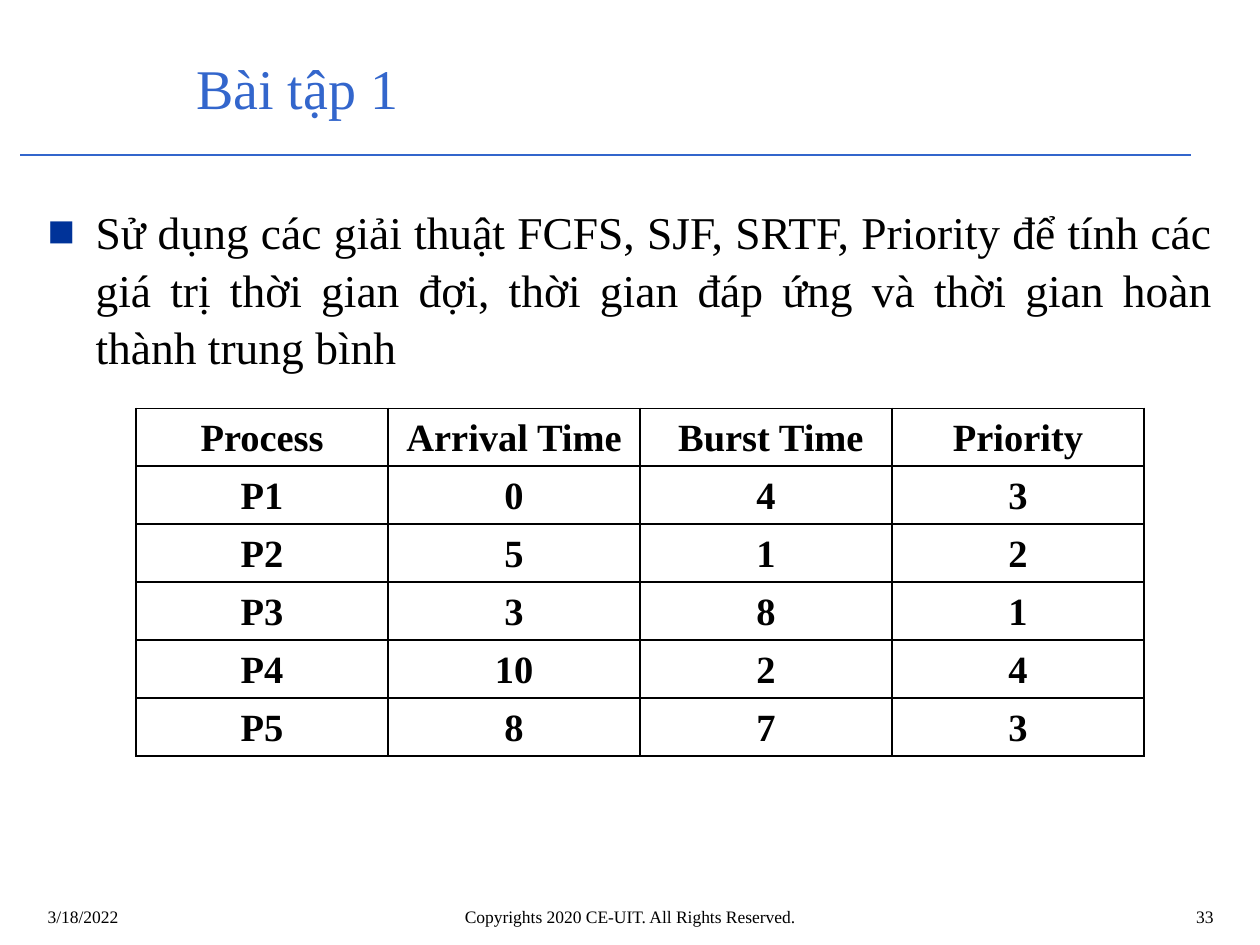
import pptx
import pptx.util
import pptx.dml.color
import pptx.enum.shapes
import pptx.enum.text
import pptx.oxml
import pptx.oxml.ns
from lxml import etree

Inches, Pt = pptx.util.Inches, pptx.util.Pt
ALIGN = pptx.enum.text.PP_ALIGN
ANCHOR = pptx.enum.text.MSO_ANCHOR

TITLE = "Bài tập 1"
TASK = ("Sử dụng các giải thuật FCFS, SJF, SRTF, Priority để tính các giá trị "
        "thời gian đợi, thời gian đáp ứng và thời gian hoàn thành trung bình")
ROWS = [
    ("Process", "Arrival Time", " Burst Time", "Priority"),
    ("P1", "0", "4", "3"),
    ("P2", "5", "1", "2"),
    ("P3", "3", "8", "1"),
    ("P4", "10", "2", "4"),
    ("P5", "8", "7", "3"),
]
FOOT = [
    ("3/18/2022", (0.28, 7.14, 2.33, 0.32), ALIGN.LEFT),
    ("33", (7.81, 7.14, 1.92, 0.32), ALIGN.RIGHT),
    ("Copyrights 2020 CE-UIT. All Rights Reserved.", (1.93, 7.14, 6.14, 0.32), ALIGN.CENTER),
]
THEME = {
    "font": "Times New Roman", "ink": "000000", "blue": "3366CC",
    "mark": "003399", "paper": "FFFFFF",
    "title": 32, "body": 26, "cell": 22, "foot": 10,
}


def rgb(name):
    """Return a theme colour."""
    return pptx.dml.color.RGBColor.from_string(THEME[name])


def write(frame, text, size="body", color="ink", bold=False, align=ALIGN.LEFT,
          anchor=ANCHOR.TOP, lead=None, before=None):
    """Put one formatted paragraph in a text frame and return it."""
    frame.word_wrap = True
    frame.vertical_anchor = anchor
    para = frame.paragraphs[0]
    para.alignment = align
    if lead:
        para.line_spacing = lead
    if before:
        para.space_before = Pt(before)
    run = para.add_run()
    run.text = text
    font = run.font
    font.name, font.size, font.bold = THEME["font"], Pt(THEME[size]), bold
    font.color.rgb = rgb(color)
    return para


def box(slide, place):
    """Add a text box and return its frame."""
    return slide.shapes.add_textbox(*map(Inches, place)).text_frame


def bullet(para, indent):
    """Give a paragraph a square bullet with a hanging indent."""
    props = para._p.get_or_add_pPr()
    props.set("marL", str(Inches(indent)))
    props.set("indent", str(-Inches(indent)))
    tint = etree.SubElement(props, pptx.oxml.ns.qn("a:buClr"))
    etree.SubElement(tint, pptx.oxml.ns.qn("a:srgbClr"), val=THEME["mark"])
    etree.SubElement(props, pptx.oxml.ns.qn("a:buFont"), typeface=THEME["font"])
    etree.SubElement(props, pptx.oxml.ns.qn("a:buChar"), char="■")


def border(cell):
    """Draw a thin line on all sides of a cell."""
    props = cell._tc.get_or_add_tcPr()
    for spot, side in enumerate(("lnL", "lnR", "lnT", "lnB")):
        line = etree.Element(pptx.oxml.ns.qn("a:" + side), w=str(Pt(1)))
        fill = etree.SubElement(line, pptx.oxml.ns.qn("a:solidFill"))
        etree.SubElement(fill, pptx.oxml.ns.qn("a:srgbClr"), val=THEME["ink"])
        props.insert(spot, line)


def grid(slide, left, top, wide, high):
    """Add the process table."""
    count = len(ROWS[0])
    shape = slide.shapes.add_table(len(ROWS), count, Inches(left), Inches(top),
                                   Inches(wide * count), Inches(high * len(ROWS)))
    table = shape.table
    for row, items in zip(table.rows, ROWS):
        row.height = Inches(high)
        for cell, text in zip(row.cells, items):
            cell.margin_top = cell.margin_bottom = 0
            cell.fill.solid()
            cell.fill.fore_color.rgb = rgb("paper")
            border(cell)
            write(cell.text_frame, text, size="cell", bold=True,
                  align=ALIGN.CENTER, lead=1.07)
            cell.vertical_anchor = ANCHOR.MIDDLE


def main():
    """Build the slide and save it."""
    deck = pptx.Presentation()
    deck.slide_width, deck.slide_height = Inches(10), Inches(7.5)
    slide = deck.slides.add_slide(deck.slide_layouts[6])
    rule = slide.shapes.add_connector(pptx.enum.shapes.MSO_CONNECTOR.STRAIGHT,
                                      *map(Inches, (0.16, 1.23, 9.45, 1.23)))
    rule.line.color.rgb, rule.line.width = rgb("blue"), Pt(0.75)
    etree.SubElement(rule._element.spPr, pptx.oxml.ns.qn("a:effectLst"))
    write(box(slide, (1.46, 0.31, 8.04, 0.76)), TITLE, size="title", color="blue",
          anchor=ANCHOR.MIDDLE)
    task = write(box(slide, (0.28, 1.55, 9.45, 5.28)), TASK, align=ALIGN.JUSTIFY,
                 lead=1.05, before=5.2)
    bullet(task, 0.38)
    for text, place, align in FOOT:
        write(box(slide, place), text, size="foot", align=align)
    grid(slide, 1.08, 3.24, 2, 0.46)
    deck.save("out.pptx")


if __name__ == "__main__":
    main()
